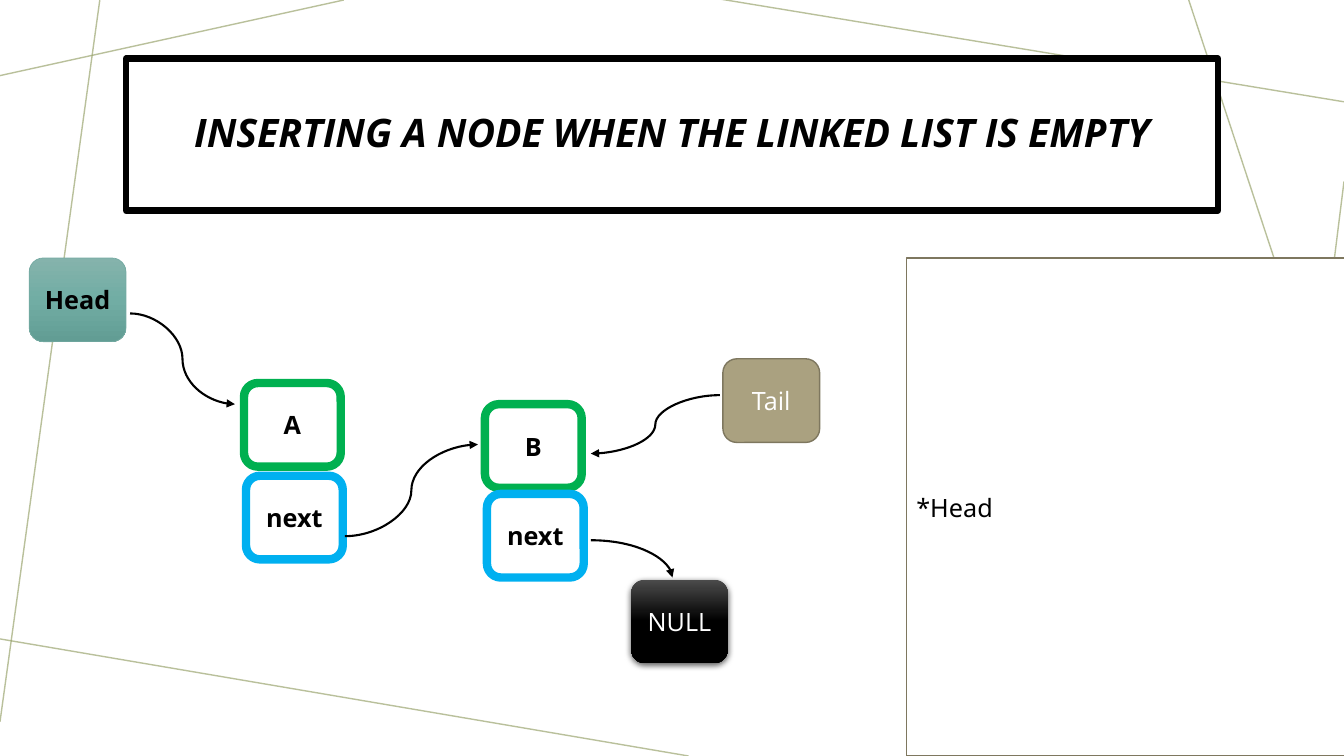
import pptx
import pptx.util
from lxml import etree
from pptx.dml.color import RGBColor
from pptx.enum.shapes import MSO_CONNECTOR, MSO_SHAPE
from pptx.enum.text import MSO_ANCHOR, MSO_AUTO_SIZE, PP_ALIGN
from pptx.oxml.ns import qn
from pptx.util import Inches, Pt

COLORS = {
    "black": "000000", "white": "FFFFFF", "backdrop": "9CA671",
    "data": "00B050", "next": "00B0F0", "head_line": "74AAA2",
    "tail": "AAA180", "olive": "7E775F",
}
HEAD_GRADIENT = [(0, "85B3AC"), (50, "71ADA4"), (100, "629D94")]
NULL_GRADIENT = [(0, "4B4B4B"), (50, "000000"), (100, "000000")]
NODE_SIZE = (0.96, 0.83)

BACKDROP_LINES = [
    ((3.41, 0), (0, 0.75)),
    ((0.99, 0), (0, 7.16)),
    ((6.83, 7.5), (-0.05, 6.33)),
    ((13.33, 1.8), (12.62, 7.5)),
    ((13.33, 4.66), (11.79, 0)),
    ((13.33, 1.01), (7.14, -0.01)),
]
LIST_CELLS = [
    ("A", "data", 2.42, 3.8),
    ("next", "next", 2.44, 4.72),
    ("B", "data", 4.81, 4.01),
    ("next", "next", 4.83, 4.9),
]
POINTERS = [
    ((3.42, 5.32), (4.74, 4.41), "curvedConnector3"),
    ((5.86, 5.36), (6.67, 5.73), "curvedConnector2"),
    ((7.14, 3.92), (5.86, 4.5), "curvedConnector3"),
    ((1.29, 3.11), (2.33, 4.01), "curvedConnector3"),
]


def rgb(name):
    return RGBColor.from_string(COLORS[name])


def style_outline(shape, color, width):
    shape.line.color.rgb = rgb(color)
    shape.line.width = Pt(width)


def fill_solid(shape, color):
    shape.fill.solid()
    shape.fill.fore_color.rgb = rgb(color)


def fill_gradient(shape, stops):
    """Fill from top to bottom with (percent, hex) stops."""
    shape.fill.gradient()
    shape.fill.gradient_angle = 270
    stop_list = shape._element.spPr.find(".//" + qn("a:gsLst"))
    for old_stop in list(stop_list):
        stop_list.remove(old_stop)
    for percent, color in stops:
        stop = etree.SubElement(stop_list, qn("a:gs"), pos=str(percent * 1000))
        etree.SubElement(stop, qn("a:srgbClr"), val=color)


def write_text(shape, text, size=18, color="black", bold=False, italic=False,
               align=PP_ALIGN.CENTER, font="Open Sans"):
    frame = shape.text_frame
    frame.text = text
    frame.word_wrap = True
    frame.vertical_anchor = MSO_ANCHOR.MIDDLE
    para = frame.paragraphs[0]
    para.alignment = align
    span = para.runs[0].font
    span.name, span.size = font, Pt(size)
    span.bold, span.italic = bold, italic
    span.color.rgb = rgb(color)


def add_box(page, left, top, width, height, kind=MSO_SHAPE.ROUNDED_RECTANGLE):
    box = page.shapes.add_shape(
        kind, Inches(left), Inches(top), Inches(width), Inches(height))
    box.shadow.inherit = False
    return box


def add_node(page, text, left, top, **text_style):
    node = add_box(page, left, top, *NODE_SIZE)
    write_text(node, text, **text_style)
    node.text_frame.margin_left = node.text_frame.margin_right = Inches(0.05)
    return node


def add_soft_shadow(shape):
    effects = shape._element.spPr.find(qn("a:effectLst"))
    shadow = etree.SubElement(
        effects, qn("a:outerShdw"), blurRad=str(Pt(4.5)), dist=str(Pt(1.5)),
        dir="5400000", algn="ctr", rotWithShape="0")
    color = etree.SubElement(shadow, qn("a:srgbClr"), val=COLORS["black"])
    etree.SubElement(color, qn("a:alpha"), val="63000")


def add_line(page, kind, start, end, color, width):
    points = [Inches(value) for value in (*start, *end)]
    line = page.shapes.add_connector(kind, *points)
    style_outline(line, color, width)
    etree.SubElement(line._element.spPr, qn("a:effectLst"))
    return line


def add_backdrop_line(page, start, end):
    """Add a translucent line behind everything else."""
    line = add_line(page, MSO_CONNECTOR.STRAIGHT, start, end, "backdrop", 1)
    color = line._element.spPr.find(".//" + qn("a:srgbClr"))
    etree.SubElement(color, qn("a:alpha"), val="70000")
    page.shapes._spTree.insert(2, line._element)


def add_pointer(page, start, end, curve):
    pointer = add_line(page, MSO_CONNECTOR.CURVE, start, end, "black", 1.5)
    properties = pointer._element.spPr
    properties.find(qn("a:prstGeom")).set("prst", curve)
    etree.SubElement(properties.find(qn("a:ln")), qn("a:tailEnd"), type="triangle")


def format_title(title):
    title.left, title.top = Inches(1.25), Inches(0.58)
    title.width, title.height = Inches(10.83), Inches(1.51)
    fill_solid(title, "white")
    style_outline(title, "black", 4.5)
    write_text(title, "INSERTING A NODE WHEN THE LINKED LIST IS EMPTY",
               size=28, bold=True, italic=True)
    title.text_frame.auto_size = MSO_AUTO_SIZE.NONE
    title.text_frame.paragraphs[0].line_spacing = 0.9


def add_code_panel(page):
    panel = add_box(page, 8.99, 2.56, 4.35, 4.94, MSO_SHAPE.RECTANGLE)
    fill_solid(panel, "white")
    style_outline(panel, "olive", 1)
    write_text(panel, "*Head", align=PP_ALIGN.LEFT, font="Noto Sans")


def main():
    deck = pptx.Presentation()
    deck.slide_width, deck.slide_height = Inches(13.33), Inches(7.5)
    page = deck.slides.add_slide(deck.slide_layouts.get_by_name("Title Only"))
    format_title(page.shapes.title)
    for start, end in BACKDROP_LINES:
        add_backdrop_line(page, start, end)

    head = add_node(page, "Head", 0.29, 2.56, bold=True)
    fill_gradient(head, HEAD_GRADIENT)
    style_outline(head, "head_line", 0.5)

    tail = add_node(page, "Tail", 7.17, 3.56, color="white")
    fill_solid(tail, "tail")
    style_outline(tail, "olive", 1)

    null = add_node(page, "NULL", 6.26, 5.75, color="white")
    fill_gradient(null, NULL_GRADIENT)
    null.line.fill.background()
    add_soft_shadow(null)

    for text, outline, left, top in LIST_CELLS:
        cell = add_node(page, text, left, top, bold=True)
        fill_solid(cell, "white")
        style_outline(cell, outline, 6)

    for start, end, curve in POINTERS:
        add_pointer(page, start, end, curve)
    add_code_panel(page)
    deck.save("out.pptx")


if __name__ == "__main__":
    main()
